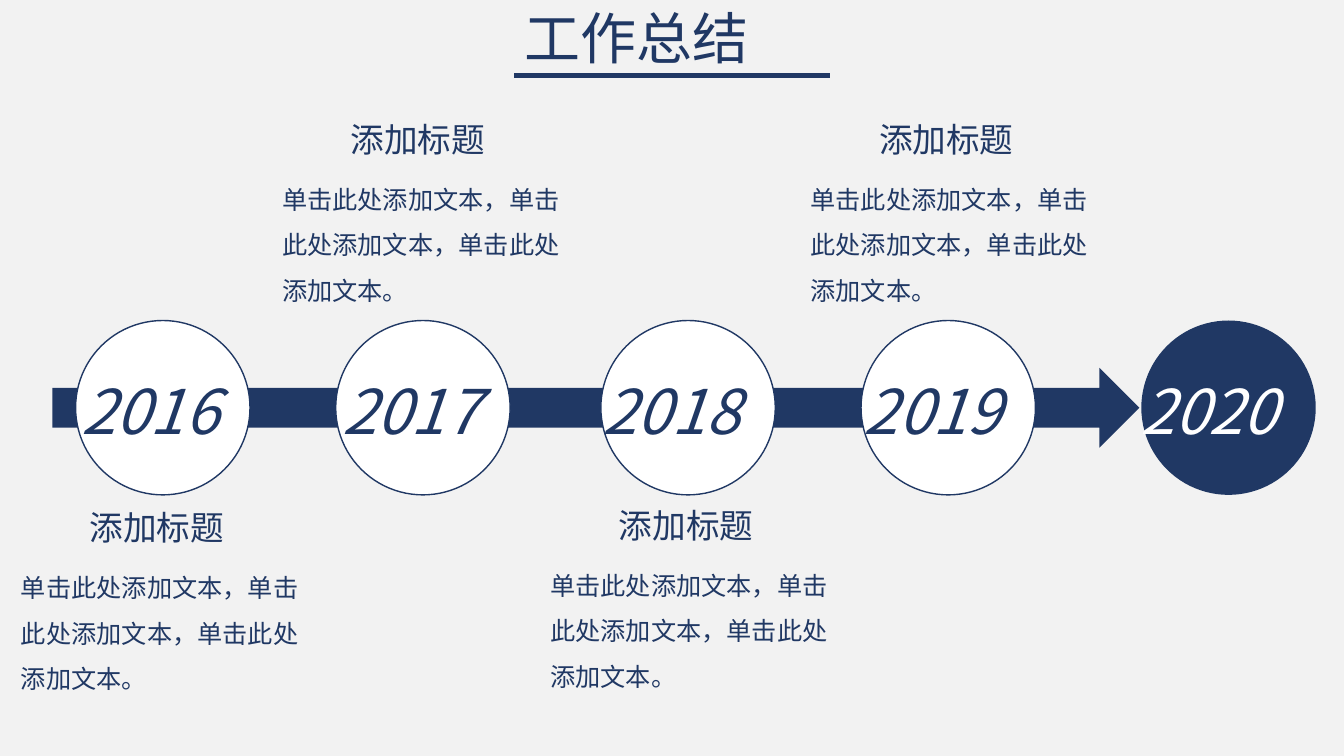
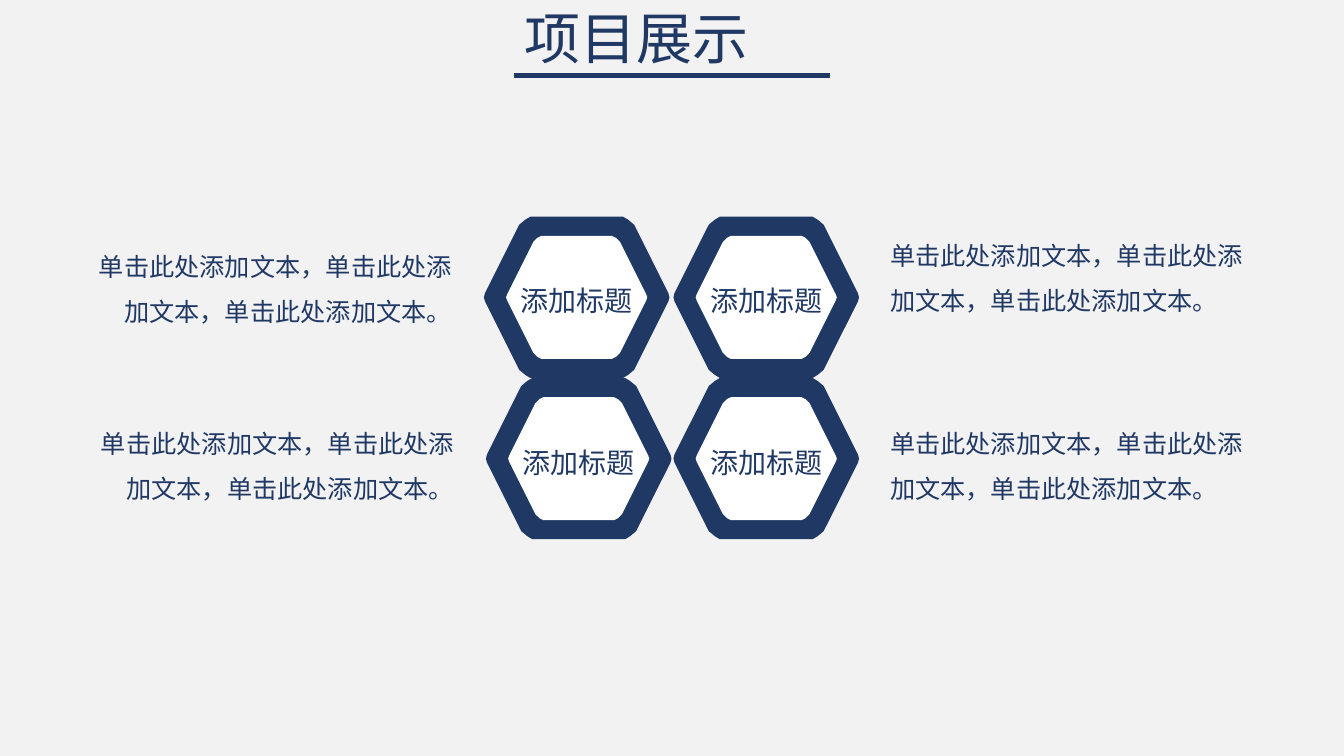
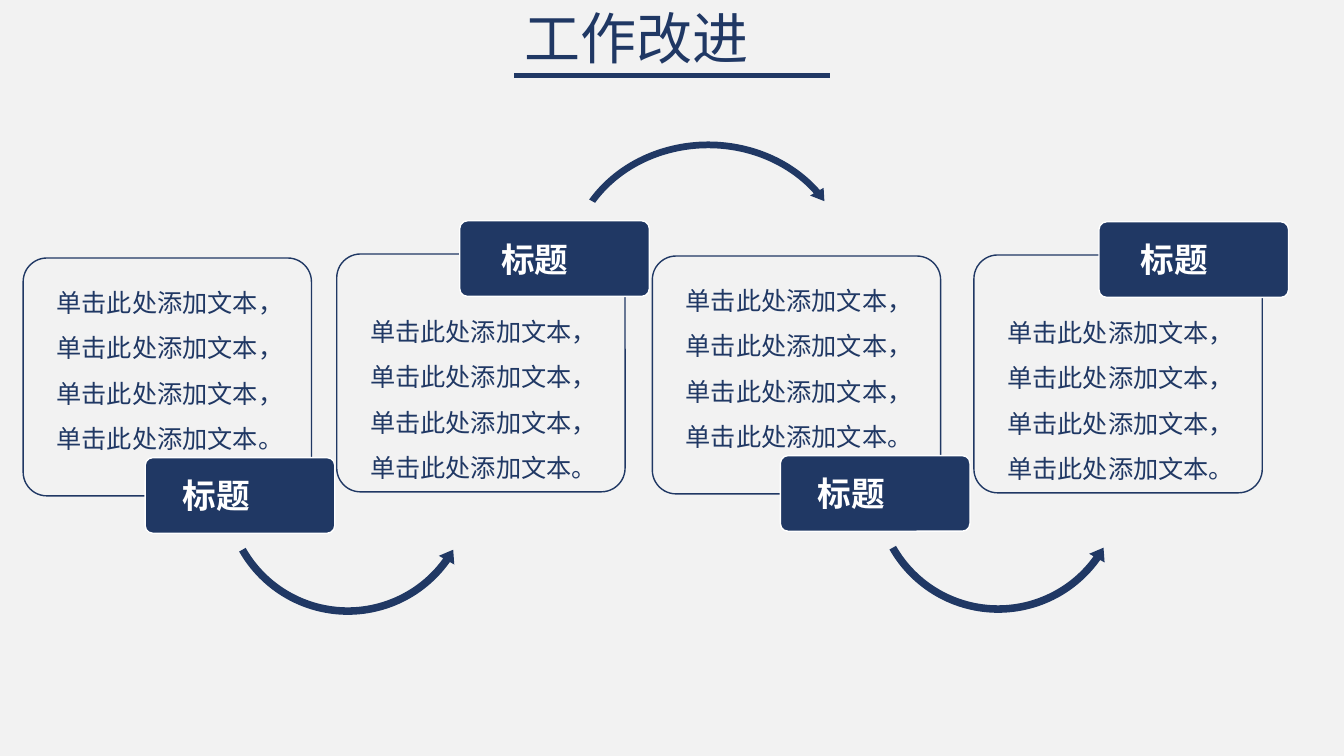
"""Build three work report slides: a timeline, a hexagon grid and a chain of steps."""
from lxml import etree
from pptx import Presentation
from pptx import util as u
from pptx.dml.color import RGBColor
from pptx.enum import shapes, text
from pptx.oxml.ns import qn

PX = 9144
FONT = "Noto Sans CJK SC"
NAVY = RGBColor(0x20, 0x38, 0x64)
WHITE = RGBColor(0xFF, 0xFF, 0xFF)
PAPER = RGBColor(0xF2, 0xF2, 0xF2)
ALIGN = text.PP_ALIGN
PRESET = shapes.MSO_SHAPE
HEADING = "添加标题"
PHRASE = "单击此处添加文本"
BODY = "，".join([PHRASE] * 3) + "。"
LONG_BODY = "，".join([PHRASE] * 4) + "。"
HEXAGON_CORNER = [(46, 80), (51, 77), (57, 72), (91, 4), (92, 0)]


def px(*lengths):
    """Turn px lengths into EMU."""
    return [u.Emu(length * PX) for length in lengths]


def write(shape, words, size, color=NAVY, align=ALIGN.LEFT, spacing=None,
          bold=None, italic=None):
    """Put one formatted paragraph into a shape."""
    shape.text_frame.text = words
    paragraph = shape.text_frame.paragraphs[0]
    paragraph.alignment = align
    paragraph.line_spacing = spacing
    font = paragraph.font
    font.size = u.Pt(size)
    font.bold = bold
    font.italic = italic
    font.color.rgb = color
    font.name = FONT
    etree.SubElement(font._element, qn("a:ea")).set("typeface", FONT)


def paint(shape, fill=None, line=None):
    """Set fill and outline, without a shadow."""
    shape.shadow.inherit = False
    if fill is None:
        shape.fill.background()
    else:
        shape.fill.solid()
        shape.fill.fore_color.rgb = fill
    if line is None:
        shape.line.fill.background()
    else:
        shape.line.color.rgb = line
        shape.line.width = u.Pt(1)


def add_preset(parent, preset, box, fill=None, line=None, adjustments=()):
    """Add a painted preset shape."""
    shape = parent.shapes.add_shape(preset, *px(*box))
    for index, value in enumerate(adjustments):
        shape.adjustments[index] = value
    paint(shape, fill, line)
    return shape


def add_text(parent, box, words, size, wrap=True, grow=True, **style):
    """Add a text box, either growing from the top or centred in its height."""
    shape = parent.shapes.add_textbox(*px(*box))
    frame = shape.text_frame
    frame.word_wrap = wrap
    if grow:
        frame.auto_size = text.MSO_AUTO_SIZE.SHAPE_TO_FIT_TEXT
    else:
        frame.vertical_anchor = text.MSO_ANCHOR.MIDDLE
    write(shape, words, size, **style)
    return shape


def new_slide(presentation, heading):
    """Add a slide with its title and the rule under it."""
    slide = presentation.slides.add_slide(presentation.slide_layouts[5])
    title = slide.shapes.title
    title.left, title.top, title.width, title.height = px(510, 7, 312, 68)
    title.text_frame.auto_size = text.MSO_AUTO_SIZE.NONE
    title.text_frame.vertical_anchor = text.MSO_ANCHOR.MIDDLE
    write(title, heading, 40, align=ALIGN.JUSTIFY, spacing=0.9)
    rule = slide.shapes.add_connector(shapes.MSO_CONNECTOR.STRAIGHT,
                                      *px(510, 75, 823, 75))
    rule.line.color.rgb = NAVY
    rule.line.width = u.Pt(3)
    etree.SubElement(rule._element.spPr, qn("a:effectLst"))
    return slide


def add_milestone(slide, left, top, year, year_shift, final):
    """Add a circle with its year."""
    group = slide.shapes.add_group_shape()
    fill, ink = (NAVY, WHITE) if final else (WHITE, NAVY)
    add_preset(group, PRESET.OVAL, (left, top, 173, 173), fill,
               None if final else NAVY)
    add_text(group, (left - year_shift, top + 47, 170, 84), year, 44,
             wrap=False, color=ink, italic=True)


def add_note(slide, left, top):
    """Add a heading above a short text."""
    add_text(slide, (left + 68, top, 155, 50), HEADING, 24, wrap=False)
    add_text(slide, (left, top + 50, 301, 142), BODY, 18, spacing=1.5)


def timeline_slide(presentation):
    """Build the timeline of years."""
    slide = new_slide(presentation, "工作总结")
    add_preset(slide, PRESET.RIGHT_ARROW, (52, 365, 1078, 79), NAVY)
    milestones = [("2016", 75, 4), ("2017", 333, 3), ("2018", 596, 8),
                  ("2019", 854, 7), ("2020", 1132, 11)]
    for year, left, year_shift in milestones:
        add_milestone(slide, left, 318, year, year_shift, year == "2020")
    for left, top in [(11, 498), (270, 113), (536, 496), (794, 113)]:
        add_note(slide, left, top)


def add_hexagon(parent, center_x, center_y, factor, fill):
    """Add a hexagon with cut corners, mirrored from one quarter."""
    right = [(x, -y) for x, y in HEXAGON_CORNER]
    right += [(x, y) for x, y in HEXAGON_CORNER[-2::-1]]
    outline = right + [(-x, y) for x, y in right[::-1]]
    points = [(center_x + x * factor, center_y + y * factor) for x, y in outline]
    builder = parent.shapes.build_freeform(*points[0], scale=PX)
    builder.add_line_segments(points[1:], close=True)
    hexagon = builder.convert_to_shape()
    paint(hexagon, fill)
    return hexagon


def add_cell(slide, center_x, center_y):
    """Add a hexagon ring with a heading inside."""
    group = slide.shapes.add_group_shape()
    add_hexagon(group, center_x, center_y, 1, NAVY)
    inner = add_hexagon(group, center_x, center_y, 0.76, WHITE)
    frame = inner.text_frame
    frame.margin_left = frame.margin_right = 0
    frame.vertical_anchor = text.MSO_ANCHOR.MIDDLE
    write(inner, HEADING, 20, align=ALIGN.CENTER, spacing=1.2)


def hexagon_slide(presentation):
    """Build the grid of four hexagons with texts beside them."""
    slide = new_slide(presentation, "项目展示")
    for center in [(572, 295), (760, 295), (574, 455), (760, 455)]:
        add_cell(slide, *center)
    texts = [(873, 169, 198, ALIGN.LEFT), (873, 356, 198, ALIGN.LEFT),
             (75, 183, 192, ALIGN.RIGHT), (77, 359, 192, ALIGN.RIGHT)]
    for left, top, height, align in texts:
        add_text(slide, (left, top, 383, height), BODY, 18, grow=False,
                 align=align, spacing=1.5)


def add_step(slide, left, top, tag_shift, tag_below, arrow_shift):
    """Add a card with its tag and the curved arrow to the next card."""
    if arrow_shift and tag_below:
        add_preset(slide, PRESET.LEFT_CIRCULAR_ARROW,
                   (left + arrow_shift, top + 101, 258, 258), NAVY,
                   adjustments=(0.029, 3.512, 21.267, 90.245, 0.034))
    elif arrow_shift:
        add_preset(slide, PRESET.CIRCULAR_ARROW,
                   (left + arrow_shift, top - 116, 289, 258), NAVY,
                   adjustments=(0.026, 3.115, 195.129, 125.755, 0.03))
    add_preset(slide, PRESET.ROUNDED_RECTANGLE, (left, top, 286, 236),
               line=NAVY, adjustments=(0.1,))
    tag_top, body_top, indent = (198, 9, 35) if tag_below else (-33, 42, 39)
    tag = add_preset(slide, PRESET.ROUNDED_RECTANGLE,
                     (left + tag_shift, top + tag_top, 188, 75), NAVY, WHITE, (0.1,))
    tag.text_frame.margin_left = px(indent)[0]
    tag.text_frame.vertical_anchor = text.MSO_ANCHOR.MIDDLE
    write(tag, "标题", 24, color=WHITE, align=ALIGN.JUSTIFY, bold=True)
    add_text(slide, (left + 23, top + body_top, 245, 187), LONG_BODY, 18,
             align=ALIGN.CENTER, spacing=1.5)


def steps_slide(presentation):
    """Build the chain of four cards."""
    slide = new_slide(presentation, "工作改进")
    steps = [(23, 256, 121, True, 193), (334, 252, 122, False, 224),
             (647, 254, 127, True, 214), (966, 253, 124, False, None)]
    for step in steps:
        add_step(slide, *step)


def main():
    """Build and save the presentation."""
    presentation = Presentation()
    presentation.slide_width, presentation.slide_height = px(1333, 750)
    background = presentation.slide_master.background.fill
    background.solid()
    background.fore_color.rgb = PAPER
    timeline_slide(presentation)
    hexagon_slide(presentation)
    steps_slide(presentation)
    presentation.save("out.pptx")


if __name__ == "__main__":
    main()
